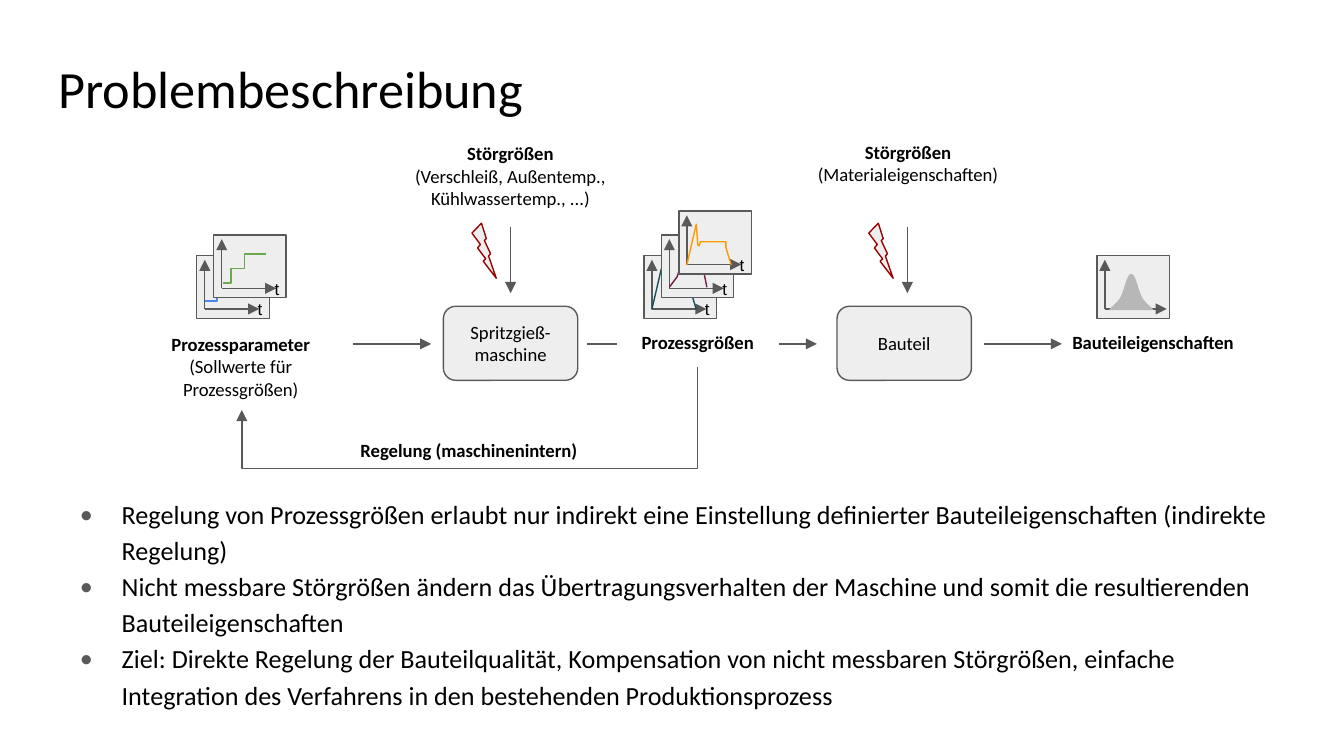
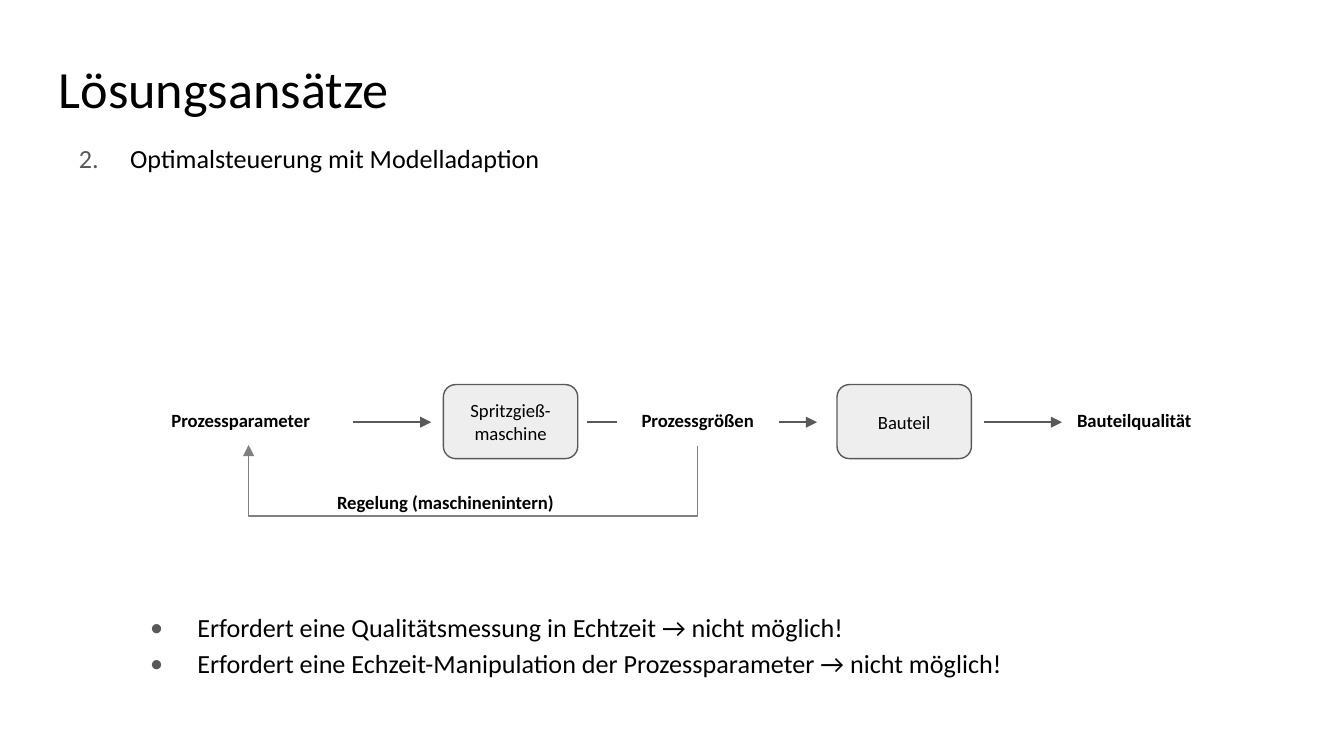
from lxml import etree
from pptx import Presentation
from pptx.dml.color import RGBColor
from pptx.enum.shapes import MSO_CONNECTOR, MSO_SHAPE
from pptx.enum.text import MSO_ANCHOR, PP_ALIGN
from pptx.oxml.ns import qn
from pptx.util import Cm, Pt

STRAIGHT, ELBOW = MSO_CONNECTOR.STRAIGHT, MSO_CONNECTOR.ELBOW
RECTANGLE, ROUNDED = MSO_SHAPE.RECTANGLE, MSO_SHAPE.ROUNDED_RECTANGLE
BOLT = MSO_SHAPE.LIGHTNING_BOLT
LEFT, CENTER = PP_ALIGN.LEFT, PP_ALIGN.CENTER
TOP, MIDDLE = MSO_ANCHOR.TOP, MSO_ANCHOR.MIDDLE

COLORS = {
    "text": "000000", "line": "595959", "loop": "808080", "panel": "EEEEEE",
    "fault": "990000", "bell": "B7B7B7", "blue": "4A86E8", "green": "6AA84F",
    "teal": "134F5C", "plum": "741B47", "orange": "FF9900",
}
FONT = "Calibri"
CONTENT_LEFT, CONTENT_WIDTH = 0.86, 23.67
INSET = 0.25
FRAME_WIDTH, FRAME_HEIGHT = 1.37, 1.19

# Curves in cm from the top left corner of their frame
BLUE_STEPS = [(0.15, 0.86), (0.38, 0.86), (0.38, 0.61), (0.71, 0.61),
              (0.71, 0.43), (1.02, 0.43)]
GREEN_STEPS = [(0.18, 0.91), (0.33, 0.91), (0.33, 0.64), (0.58, 0.64),
               (0.58, 0.36), (0.99, 0.36)]
PLATEAU = [(0.15, 1.02), (0.33, 0.25), (0.36, 0.64), (0.38, 0.66),
           (0.41, 0.58), (0.89, 0.58), (0.89, 0.69), (0.99, 1.02)]
PEAK = [(0.15, 0.99), (0.3, 0.79), (0.33, 0.69), (0.48, 0.46), (0.53, 0.41),
        (0.56, 0.28), (0.64, 0.18), (0.71, 0.18), (0.74, 0.38), (0.74, 0.51),
        (0.81, 0.74), (0.86, 0.99)]
BELL_CENTER = 0.65
BELL_HALF = [[(0.25, 1.02), (0.28, 0.99), (0.41, 0.89), (0.46, 0.79)],
             [(0.46, 0.79), (0.53, 0.66), (0.58, 0.36), (0.65, 0.36)]]


def rgb(name):
    return RGBColor.from_string(COLORS[name])


def cm(*values):
    return [Cm(value) for value in values]


def apply(target, values):
    for name, value in values.items():
        setattr(target, name, value)


# Text
def write(shape, lines, size, align=LEFT, anchor=TOP, inset=INSET, font=FONT):
    """Fill a shape with (text, bold) lines and return the paragraphs."""
    frame = shape.text_frame
    apply(frame, {"word_wrap": True, "vertical_anchor": anchor})
    apply(frame, {f"margin_{side}": Cm(inset)
                  for side in ("left", "right", "top", "bottom")})
    for number, (text, bold) in enumerate(lines):
        paragraph = frame.add_paragraph() if number else frame.paragraphs[0]
        paragraph.alignment = align
        run = paragraph.add_run()
        run.text = text
        apply(run.font, {"name": font, "size": Pt(size), "bold": bold})
        run.font.color.rgb = rgb("text")
    return frame.paragraphs


def add_text(slide, box, lines, size=10, align=CENTER, **options):
    shape = slide.shapes.add_textbox(*cm(*box))
    return write(shape, lines, size, align, **options)


def set_bullet(paragraph, margin, hanging, start=None, level=0):
    """Hang the paragraph behind a bullet, or behind a number if start is given."""
    apply(paragraph, {"line_spacing": 1.15, "level": level})
    properties = paragraph._p.get_or_add_pPr()
    properties.set("marL", str(Cm(margin)))
    properties.set("indent", str(-Cm(hanging)))
    color = etree.SubElement(properties, qn("a:buClr"))
    etree.SubElement(color, qn("a:srgbClr"), val=COLORS["line"])
    etree.SubElement(properties, qn("a:buFont"), typeface=FONT)
    if start:
        etree.SubElement(properties, qn("a:buAutoNum"),
                         type="arabicPeriod", startAt=str(start))
    else:
        etree.SubElement(properties, qn("a:buChar"), char="•")


# Shapes and lines
def style(shape, line="line", fill="panel"):
    shape.shadow.inherit = False
    if fill:
        shape.fill.solid()
        shape.fill.fore_color.rgb = rgb(fill)
    else:
        shape.fill.background()
    shape.line.color.rgb = rgb(line)
    shape.line.width = Pt(0.75)


def add_panel(slide, kind, box, line="line"):
    shape = slide.shapes.add_shape(kind, *cm(*box))
    style(shape, line)
    return shape


def add_line(slide, start, end, arrow=True, kind=STRAIGHT, color="line"):
    connector = slide.shapes.add_connector(kind, *cm(*start, *end))
    connector.line.color.rgb = rgb(color)
    connector.line.width = Pt(0.75)
    if arrow:
        etree.SubElement(connector.line._get_or_add_ln(), qn("a:tailEnd"),
                         type="triangle")
    etree.SubElement(connector.element.spPr, qn("a:effectLst"))
    return connector


def add_loop(slide, start, end, bottom, color="line"):
    """Arrow that drops from start to bottom, runs left and rises to end."""
    (x1, y1), (x2, y2) = start, end
    connector = add_line(slide, start, end, kind=ELBOW, color=color)
    span, rise = x1 - x2, abs(y2 - y1)
    apply(connector, dict(zip(
        ("left", "top", "width", "height"),
        cm((x1 + x2 - rise) / 2, (y1 + y2 - span) / 2, rise, span))))
    properties = connector.element.spPr
    transform = properties.find(qn("a:xfrm"))
    for name in ("flipH", "flipV"):
        transform.attrib.pop(name, None)
    transform.set("rot", str(90 * 60000))
    if y2 < y1:
        transform.set("flipH", "1")
    geometry = properties.find(qn("a:prstGeom"))
    guides = geometry.find(qn("a:avLst"))
    if guides is None:
        guides = etree.SubElement(geometry, qn("a:avLst"))
    bend = round((bottom - y1) / (y2 - y1) * 100000)
    etree.SubElement(guides, qn("a:gd"), name="adj1", fmla=f"val {bend}")


def add_curve(slide, left, top, points, color, fill=None):
    places = [cm(left + x, top + y) for x, y in points]
    builder = slide.shapes.build_freeform(*places[0])
    builder.add_line_segments(places[1:], close=bool(fill))
    style(builder.convert_to_shape(), color, fill)


# Small diagrams
def add_frame(slide, left, top, axis=1.03):
    add_panel(slide, RECTANGLE, (left, top, FRAME_WIDTH, FRAME_HEIGHT))
    origin = (left + 0.15, top + 1.01)
    add_line(slide, origin, (left + 0.15, top + 0.08))
    add_line(slide, origin, (left + 0.15 + axis, top + 1.01))


def add_time_plot(slide, left, top, points, color):
    add_frame(slide, left, top)
    add_curve(slide, left, top, points, color)
    add_text(slide, (left + 0.99, top + 0.76, 0.41, 0.51), [("t", False)],
             size=9, anchor=MIDDLE, inset=0, font="Arial")


def bezier(a, b, c, d, steps=8):
    for step in range(steps + 1):
        t = step / steps
        u = 1 - t
        yield tuple(u**3 * p + 3 * u * u * t * q + 3 * u * t * t * r + t**3 * s
                    for p, q, r, s in zip(a, b, c, d))


def add_bell_plot(slide, left, top):
    add_frame(slide, left, top, axis=1.17)
    half = [point for part in BELL_HALF for point in bezier(*part)]
    mirrored = [(2 * BELL_CENTER - x, y) for x, y in reversed(half)]
    add_curve(slide, left, top, half + mirrored, "bell", "bell")


def add_disturbance(slide, x, box, detail):
    add_panel(slide, BOLT, (x - 0.73, 4.22, 0.46, 1.04), "fault")
    add_line(slide, (x, 4.29), (x, 5.54))
    add_text(slide, box, [("Störgrößen", True), (detail, False)])


def add_process_chain(slide, middle, result, result_width, detail=None):
    """Row of two stations, three quantities and the arrows between them."""
    stations = [(8.38, ["Spritzgieß-", "maschine"]), (15.82, ["Bauteil"])]
    for left, lines in stations:
        station = add_panel(slide, ROUNDED, (left, middle - 0.71, 2.54, 1.4))
        write(station, [(line, False) for line in lines], 10, CENTER, MIDDLE)

    parameter = [("Prozessparameter", True)]
    if detail:
        parameter.append((detail, False))
    quantities = [(2.44, 4.22, parameter),
                  (11.51, 3.35, [("Prozessgrößen", True)]),
                  (19.91, result_width, [(result, True)])]
    for left, width, lines in quantities:
        height = 0.89 if len(lines) == 1 else 1.7
        add_text(slide, (left, middle - 0.46, width, height), lines)

    links = [(6.68, 8.15, True), (11.1, 11.66, False),
             (14.73, 15.44, True), (18.59, 20.07, True)]
    for x1, x2, arrow in links:
        add_line(slide, (x1, middle), (x2, middle), arrow)


def add_control_label(slide, left, top, align):
    add_text(slide, (left, top, 5.38, 0.89),
             [("Regelung (maschinenintern)", True)], align=align)


def add_slide(presentation, title):
    slide = presentation.slides.add_slide(presentation.slide_layouts[6])
    add_text(slide, (CONTENT_LEFT, 0.81, CONTENT_WIDTH, 1.6),
             [(title, False)], size=28, align=LEFT)
    return slide


def add_body(slide, top, height, lines):
    return add_text(slide, (CONTENT_LEFT, top, CONTENT_WIDTH, height),
                    [(line, False) for line in lines], size=14, align=LEFT)


# Slides
def build_problem(presentation):
    slide = add_slide(presentation, "Problembeschreibung")
    for paragraph in add_body(slide, 9.09, 4.65, [
        "Regelung von Prozessgrößen erlaubt nur indirekt eine Einstellung "
        "definierter Bauteileigenschaften (indirekte Regelung)",
        "Nicht messbare Störgrößen ändern das Übertragungsverhalten der "
        "Maschine und somit die resultierenden Bauteileigenschaften",
        "Ziel: Direkte Regelung der Bauteilqualität, Kompensation von nicht "
        "messbaren Störgrößen, einfache Integration des Verfahrens in den "
        "bestehenden Produktionsprozess",
    ]):
        set_bullet(paragraph, 1.19, 0.79)

    plots = [(3.72, 4.83, BLUE_STEPS, "blue"), (4.04, 4.44, GREEN_STEPS, "green"),
             (12.17, 4.83, PLATEAU, "teal"), (12.5, 4.44, PEAK, "plum"),
             (12.83, 3.99, PLATEAU, "orange")]
    for plot in plots:
        add_time_plot(slide, *plot)
    add_bell_plot(slide, 20.73, 4.83)

    add_process_chain(slide, 6.5, "Bauteileigenschaften", 3.76,
                      "(Sollwerte für Prozessgrößen)")
    add_disturbance(slide, 9.65, (6.99, 2.44, 5.31, 1.7),
                    "(Verschleiß, Außentemp., Kühlwassertemp., ...)")
    add_disturbance(slide, 17.15, (14.91, 2.41, 4.5, 1.3),
                    "(Materialeigenschaften)")
    add_control_label(slide, 6.17, 8.08, CENTER)
    add_loop(slide, (13.18, 6.93), (4.57, 7.75), 8.86)


def build_solutions(presentation):
    slide = add_slide(presentation, "Lösungsansätze")
    heading, *drawbacks = add_body(slide, 2.36, 11.13, [
        "Optimalsteuerung mit Modelladaption",
        "Erfordert eine Qualitätsmessung in Echtzeit → nicht möglich!",
        "Erfordert eine Echzeit-Manipulation der Prozessparameter → nicht möglich!",
    ])
    set_bullet(heading, 1.35, 0.97, start=2)
    for paragraph in drawbacks:
        set_bullet(paragraph, 2.62, 0.89, level=1)
    drawbacks[0].space_before = Pt(232)  # room for the process chain

    add_process_chain(slide, 7.98, "Bauteilqualität", 3.05)
    add_control_label(slide, 6.12, 9.07, LEFT)
    add_loop(slide, (13.18, 8.43), (4.7, 8.41), 9.75, "loop")


def main():
    presentation = Presentation()
    apply(presentation, {"slide_width": Cm(25.4), "slide_height": Cm(14.29)})
    build_problem(presentation)
    build_solutions(presentation)
    presentation.save("out.pptx")


if __name__ == "__main__":
    main()
